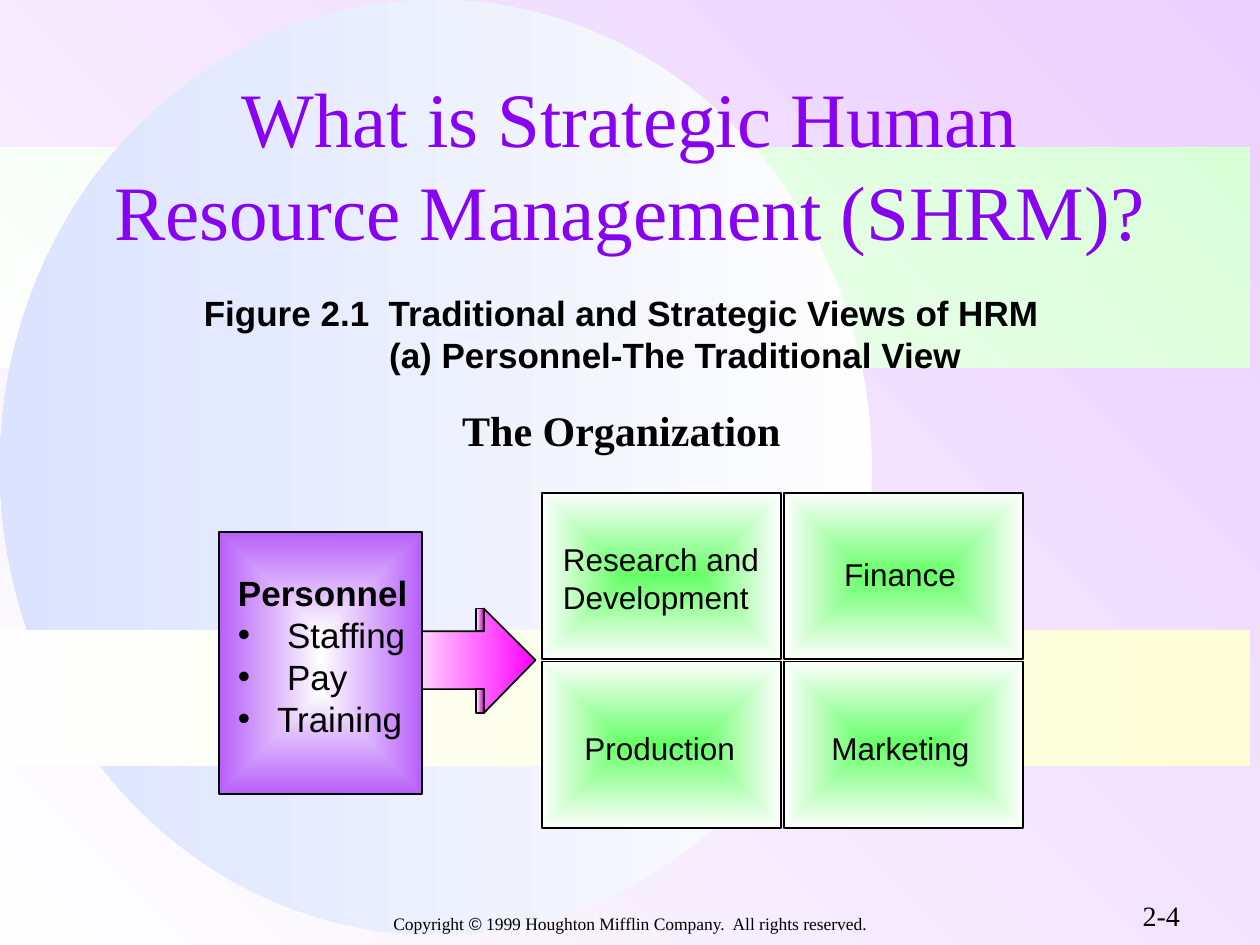
from pptx import Presentation
from pptx.dml.color import RGBColor
from pptx.enum.shapes import MSO_SHAPE
from pptx.enum.text import MSO_ANCHOR, PP_ALIGN
from pptx.oxml import parse_xml
from pptx.oxml.ns import nsdecls, qn
from pptx.util import Inches, Pt

RECT, OVAL = MSO_SHAPE.RECTANGLE, MSO_SHAPE.OVAL
MIDDLE = MSO_ANCHOR.MIDDLE
CENTER = PP_ALIGN.CENTER
SERIF, SANS = "Times New Roman", "Arial"
BLACK, WHITE, PURPLE = "000000", "FEFEFE", "8901F3"
GREEN, VIOLET, MAGENTA, DARK_MAGENTA = "65FF66", "B760F9", "FF00FF", "C000C0"


def color(value):
    return RGBColor.from_string(value)


def set_gradient(fill, first, last, angle):
    """Linear gradient; the angle runs clockwise from left to right."""
    fill.gradient()
    fill.gradient_angle = 360 - angle
    for stop, value in zip(fill.gradient_stops, (first, last)):
        stop.color.rgb = color(value)


def style_outline(sp, outlined):
    sp.shadow.inherit = False
    if outlined:
        sp.line.color.rgb = color(BLACK)
        sp.line.width = Pt(1)
    else:
        sp.line.fill.background()


def add_block(slide, kind, box, first, last, angle=0, outlined=False):
    sp = slide.shapes.add_shape(kind, *map(Inches, box))
    set_gradient(sp.fill, first, last, angle)
    style_outline(sp, outlined)
    return sp


def add_glow_box(slide, box, center, edge):
    """Outlined rectangle whose gradient spreads from the middle."""
    sp = add_block(slide, RECT, box, center, edge, outlined=True)
    lin = sp._element.spPr.find(qn("a:gradFill")).find(qn("a:lin"))
    lin.getparent().replace(lin, parse_xml(
        f'<a:path {nsdecls("a")} path="rect">'
        '<a:fillToRect l="50000" t="50000" r="50000" b="50000"/></a:path>'))


def add_outline(slide, points, fill):
    builder = slide.shapes.build_freeform(
        Inches(points[0][0]), Inches(points[0][1]))
    builder.add_line_segments(
        [(Inches(x), Inches(y)) for x, y in points[1:]], close=True)
    sp = builder.convert_to_shape()
    set_gradient(sp.fill, fill, WHITE, 180)
    style_outline(sp, True)


def format_runs(p, size, font, value=BLACK, bold=False):
    for r in p.runs:
        r.font.size, r.font.name, r.font.bold = Pt(size), font, bold
        r.font.color.rgb = color(value)


def add_text(slide, box, text, size, font, value=BLACK, bold=False,
             wrap=False, align=None, anchor=None):
    tf = slide.shapes.add_textbox(*map(Inches, box)).text_frame
    tf.word_wrap = wrap
    tf.text = text
    if anchor is not None:
        tf.vertical_anchor = anchor
    for p in tf.paragraphs:
        p.alignment = align
        format_runs(p, size, font, value, bold)
    return tf


def set_indent(p, margin, first):
    pPr = p._p.get_or_add_pPr()
    pPr.set("marL", str(Inches(margin)))
    pPr.set("indent", str(Inches(first)))
    return pPr


def add_bullet(p, margin):
    pPr = set_indent(p, margin, -margin)
    pPr.append(parse_xml(f'<a:buFont {nsdecls("a")} typeface="{SANS}"/>'))
    pPr.append(parse_xml(f'<a:buChar {nsdecls("a")} char="•"/>'))


def add_backdrop(slide):
    set_gradient(slide.background.fill, "EBD0FF", WHITE, 135)
    add_block(slide, RECT, (0, 1.17, 9.92, 1.75), "D9FFD9", WHITE, 135)
    add_block(slide, OVAL, (0, 0, 6.92, 7.42), WHITE, "DBE3FF", 180)
    add_block(slide, RECT, (0, 5, 9.92, 1.08), "FDFED6", WHITE, 180)


def add_footer(slide):
    tf = add_text(slide, (2.9, 7.25, 4.2, 0.16), "Copyright", 10, SERIF,
                  align=CENTER, anchor=MIDDLE)
    p = tf.paragraphs[0]
    for text in (" ©", " 1999 Houghton Mifflin Company.  All rights reserved."):
        p.add_run().text = text
    format_runs(p, 10, SERIF)
    p.runs[1].font.name = SANS
    add_text(slide, (8.97, 7.08, 0.5, 0.36), "2-4", 16, SERIF)


def add_headings(slide):
    add_text(slide, (0.75, 0.67, 8.5, 1.25),
             "What is Strategic Human Resource Management (SHRM)?",
             44, SERIF, PURPLE, wrap=True, align=CENTER, anchor=MIDDLE)
    tf = add_text(slide, (0.69, 2.42, 8.5, 0.46),
                  "Figure 2.1  Traditional and Strategic Views of HRM\v"
                  "(a) Personnel-The Traditional View",
                  20, SANS, bold=True, wrap=True, anchor=MIDDLE)
    set_indent(tf.paragraphs[0], 2.3, -1.47)
    add_text(slide, (3.57, 3.16, 2.73, 0.5), "The Organization", 24, SERIF,
             bold=True)


def add_departments(slide):
    # Two by two grid of boxes
    for row in range(2):
        for col in range(2):
            add_glow_box(slide, (4.3 + 1.92 * col, 3.91 + 1.34 * row,
                                 1.9, 1.32), GREEN, WHITE)
    labels = [
        ("Research and\nDevelopment", (4.37, 4.24, 1.8, 0.7)),
        ("Finance", (6.6, 4.36, 1.15, 0.4)),
        ("Production", (4.54, 5.74, 1.5, 0.4)),
        ("Marketing", (6.5, 5.74, 1.4, 0.4)),
    ]
    for text, box in labels:
        add_text(slide, box, text, 18, SANS)


def add_arrow(slide):
    tail, neck, tip = 3.15, 3.84, 4.25
    top, upper, middle, lower, bottom = 4.83, 5.01, 5.24, 5.47, 5.66
    add_outline(slide, [(tail, lower), (tail, upper), (neck, upper),
                        (neck, top), (tip, middle), (neck, bottom),
                        (neck, lower)], MAGENTA)
    # Shaded sides that give the arrow depth
    sides = [(3.11, tail, upper, lower), (3.78, neck, top, upper),
             (3.78, neck, lower, bottom)]
    for x1, x2, y1, y2 in sides:
        add_outline(slide, [(x1, y1), (x2, y1), (x2, y2), (x1, y2)],
                    DARK_MAGENTA)


def add_personnel(slide):
    add_glow_box(slide, (1.74, 4.22, 1.61, 2.08), WHITE, VIOLET)
    tf = add_text(slide, (1.79, 4.49, 1.65, 1.43), "Personnel", 20, SANS,
                  bold=True)
    for text, margin in (("Staffing", 0.39), ("Pay", 0.39), ("Training", 0.31)):
        p = tf.add_paragraph()
        p.text = text
        format_runs(p, 20, SANS)
        add_bullet(p, margin)


def main():
    prs = Presentation()
    prs.slide_width, prs.slide_height = Inches(10), Inches(7.5)
    slide = prs.slides.add_slide(prs.slide_layouts[6])
    add_backdrop(slide)
    add_footer(slide)
    add_headings(slide)
    add_departments(slide)
    add_arrow(slide)
    add_personnel(slide)
    prs.save("out.pptx")


if __name__ == "__main__":
    main()
